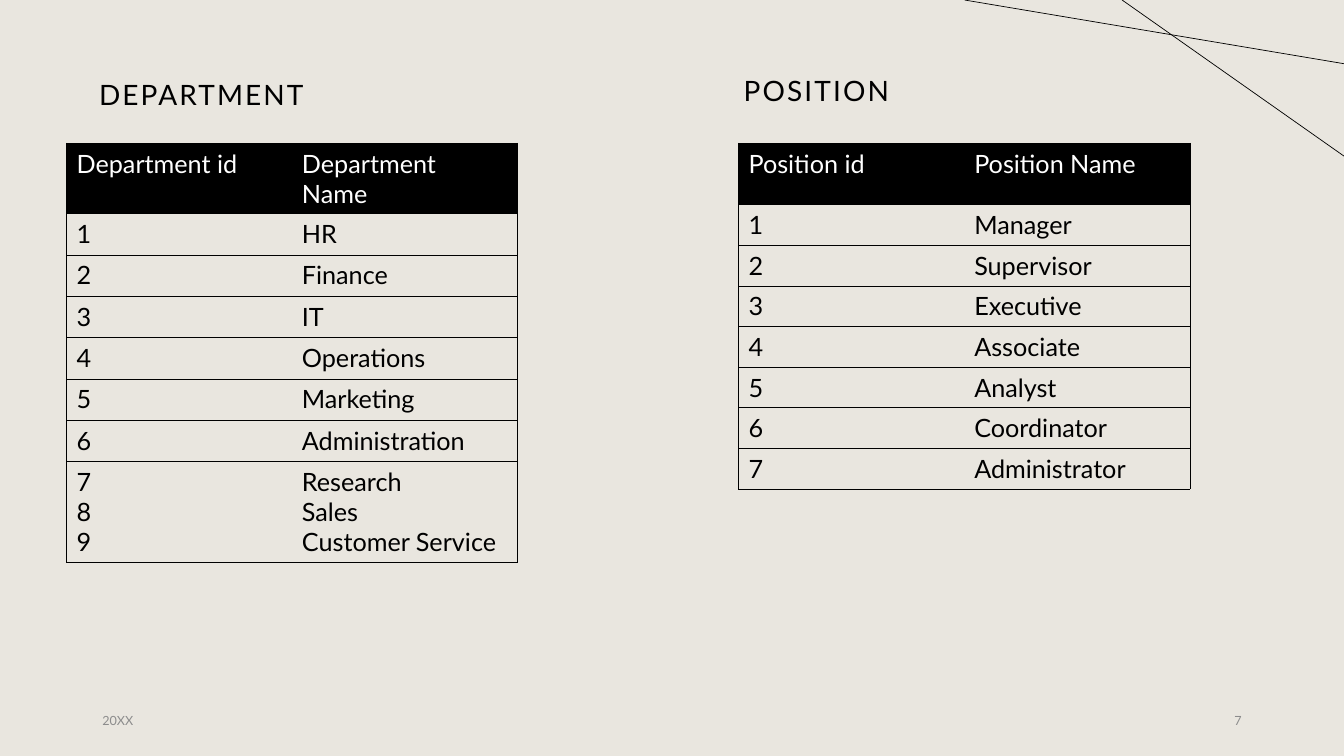
from lxml import etree
from pptx import Presentation
from pptx.dml.color import RGBColor
from pptx.enum.shapes import MSO_CONNECTOR
from pptx.enum.text import MSO_ANCHOR, PP_ALIGN
from pptx.oxml.ns import qn
from pptx.util import Pt

STRAIGHT = MSO_CONNECTOR.STRAIGHT
MIDDLE = MSO_ANCHOR.MIDDLE
LEFT, RIGHT = PP_ALIGN.LEFT, PP_ALIGN.RIGHT

BLACK, WHITE, GREY, PAPER = "000000", "FFFFFF", "8C8C8C", "E9E6DF"

DEPARTMENTS = [
    ("Department id", "Department Name"),
    ("1", "HR"),
    ("2", "Finance"),
    ("3", "IT"),
    ("4", "Operations"),
    ("5", "Marketing"),
    ("6", "Administration"),
    ("7\n8\n9", "Research\nSales\nCustomer Service"),
]
POSITIONS = [
    ("Position id", "Position Name"),
    ("1", "Manager"),
    ("2", "Supervisor"),
    ("3", "Executive"),
    ("4", "Associate"),
    ("5", "Analyst"),
    ("6", "Coordinator"),
    ("7", "Administrator"),
]


def rgb(value):
    return RGBColor.from_string(value)


def write(frame, text, size=18, color=BLACK, align=LEFT, spacing=None, tracking=None):
    """Fill a text frame, one paragraph per line of text."""
    frame.text = text
    for paragraph in frame.paragraphs:
        paragraph.alignment = align
        if spacing:
            paragraph.line_spacing = spacing
        for run in paragraph.runs:
            run.font.name = "Lato"
            run.font.size = Pt(size)
            run.font.bold = False
            run.font.color.rgb = rgb(color)
            if tracking:
                run.font._element.set("spc", str(int(tracking * 100)))


class Deck:
    """Holds the line style and the current slide."""

    def __init__(self, line_color=BLACK, line_width=0.5):
        self.line_color = line_color
        self.line_width = line_width
        self.presentation = Presentation()
        self.presentation.slide_width = Pt(960)
        self.presentation.slide_height = Pt(540)

    def add_slide(self, background):
        title_only = self.presentation.slide_layouts[5]
        self.slide = self.presentation.slides.add_slide(title_only)
        self.slide.background.fill.solid()
        self.slide.background.fill.fore_color.rgb = rgb(background)

    def textbox(self, left, top, width, height):
        return self.slide.shapes.add_textbox(Pt(left), Pt(top), Pt(width), Pt(height))

    def heading(self, text, left, top, shape=None):
        shape = shape or self.textbox(left, top, 220, 42)
        shape.left, shape.top, shape.width, shape.height = map(Pt, (left, top, 220, 42))
        frame = shape.text_frame
        frame.word_wrap = True
        frame.vertical_anchor = MIDDLE
        frame.margin_left = 0
        write(frame, text, size=20, spacing=0.9, tracking=1.5)

    def footer(self, text, left, align):
        frame = self.textbox(left, 500.5, 216, 28.75).text_frame
        frame.word_wrap = True
        frame.vertical_anchor = MIDDLE
        write(frame, text, size=9, color=GREY, align=align)

    def line(self, x1, y1, x2, y2):
        connector = self.slide.shapes.add_connector(
            STRAIGHT, Pt(x1), Pt(y1), Pt(x2), Pt(y2))
        connector.line.color.rgb = rgb(self.line_color)
        connector.line.width = Pt(self.line_width)
        etree.SubElement(connector._element.spPr, qn("a:effectLst"))

    def border(self, cell, side, visible):
        edge = etree.SubElement(cell._tc.get_or_add_tcPr(), qn(f"a:ln{side}"),
                                w=str(Pt(self.line_width)))
        if visible:
            fill = etree.SubElement(edge, qn("a:solidFill"))
            etree.SubElement(fill, qn("a:srgbClr"), val=self.line_color)
        else:
            etree.SubElement(edge, qn("a:noFill"))

    def table(self, records, left, top, column_width, header_height, row_height):
        rows, columns = len(records), len(records[0])
        height = header_height + row_height * (rows - 1)
        table = self.slide.shapes.add_table(
            rows, columns, Pt(left), Pt(top), Pt(column_width * columns), Pt(height)).table
        table.horz_banding = False
        for column in table.columns:
            column.width = Pt(column_width)
        for r, record in enumerate(records):
            table.rows[r].height = Pt(row_height if r else header_height)
            for c, text in enumerate(record):
                cell = table.cell(r, c)
                # Rules between rows and around the table, none between columns
                self.border(cell, "L", c == 0)
                self.border(cell, "R", c == columns - 1)
                self.border(cell, "T", True)
                self.border(cell, "B", True)
                if r == 0:
                    cell.fill.solid()
                    cell.fill.fore_color.rgb = rgb(BLACK)
                else:
                    cell.fill.background()
                write(cell.text_frame, text, color=BLACK if r else WHITE)


def main():
    deck = Deck()
    deck.add_slide(PAPER)

    # Corner lines
    deck.line(801.5, 0, 960, 111.5)
    deck.line(689, 0, 960, 45.5)

    # Departments
    deck.heading("DEPARTMENT", 70.75, 47.5, deck.slide.shapes.title)
    deck.table(DEPARTMENTS, 47.5, 102.25, 161, 29.5, 29.5)

    # Positions
    deck.heading("POSITION", 531.25, 44.75)
    deck.table(POSITIONS, 527.5, 102.25, 161.25, 44, 29)

    # Footer
    deck.footer("20XX", 66, LEFT)
    deck.footer("7", 678, RIGHT)

    deck.presentation.save("out.pptx")


if __name__ == "__main__":
    main()
